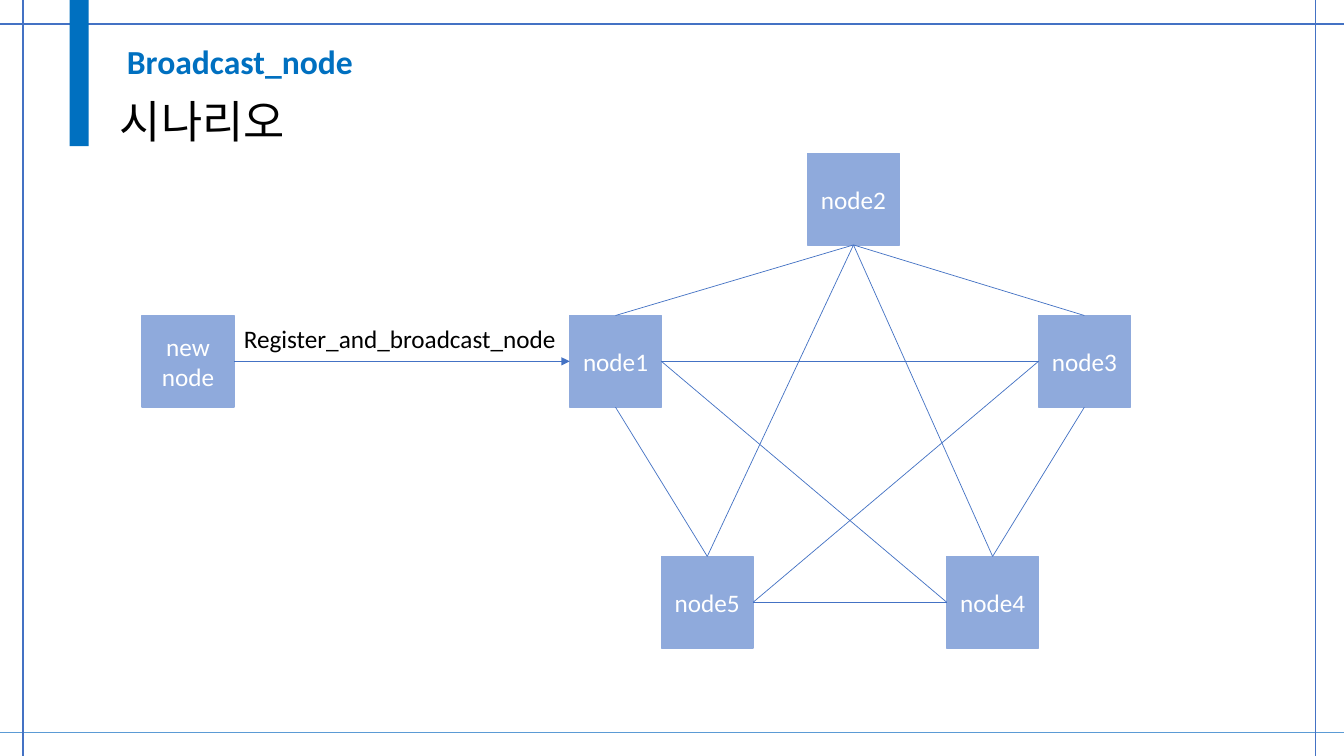
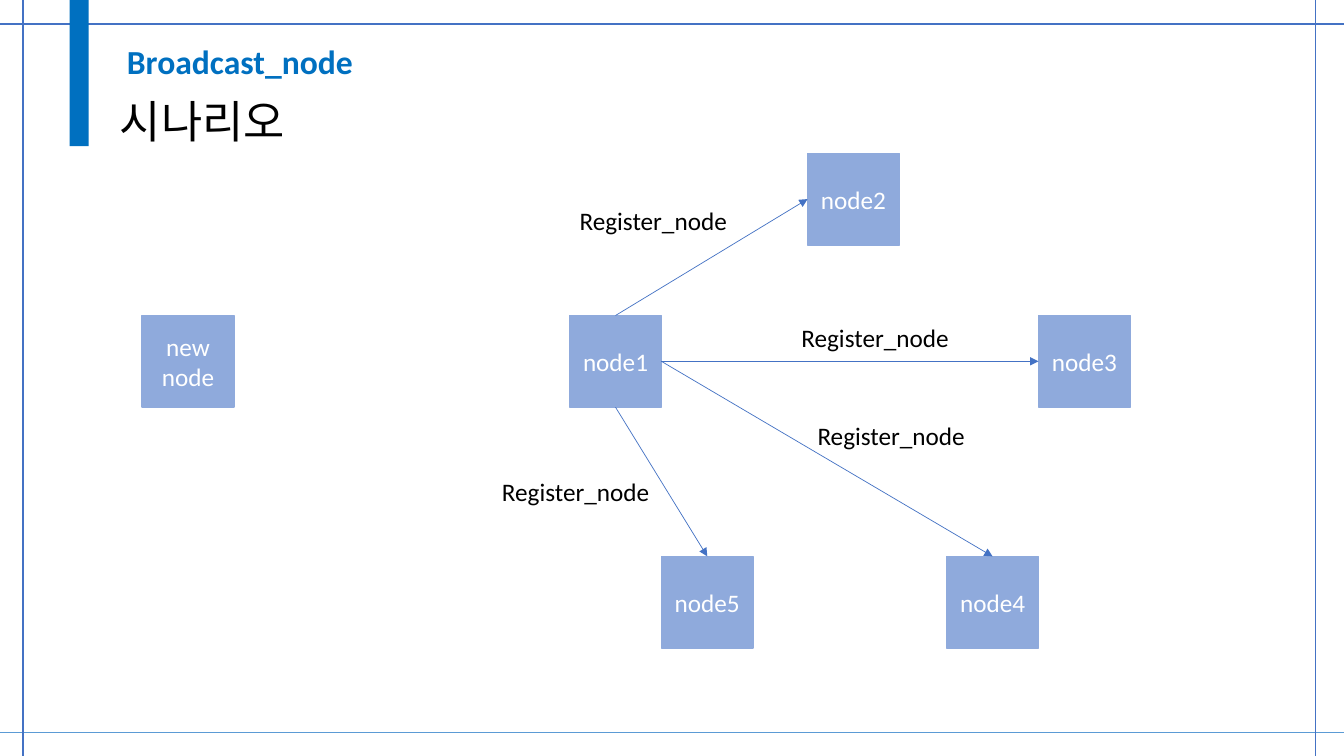
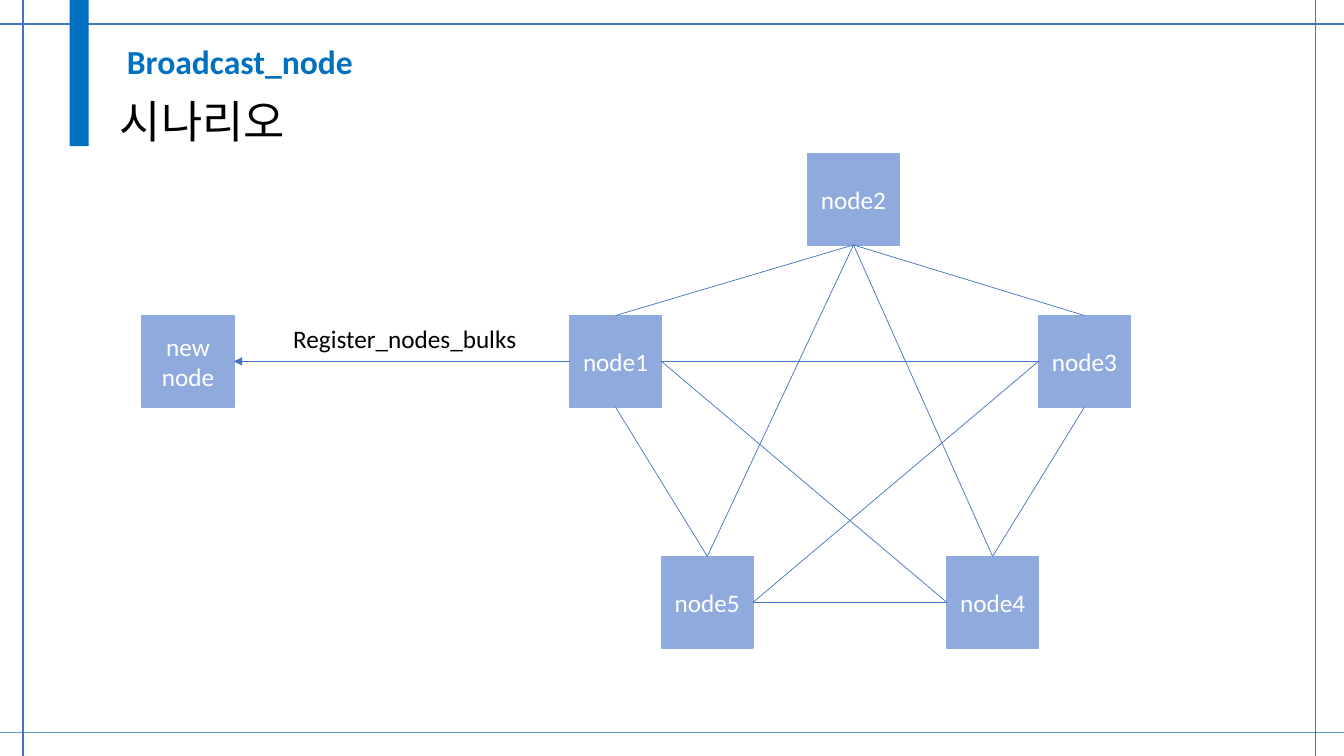
"""Three slides showing how a new node is registered and broadcast through a mesh."""
from lxml import etree
from pptx import Presentation
from pptx import util as u
from pptx.dml.color import RGBColor
from pptx.enum import shapes, text
from pptx.oxml.ns import qn

COLORS = {
    "accent": "0070C0",
    "line": "4472C4",
    "footer": "5B9BD5",
    "node": "8FAADC",
    "dark": "000000",
    "light": "FFFFFF",
}
WIDTH, HEIGHT = 13.33, 7.5
NODE_SIZE = 0.91
TOP, LEFT, BOTTOM, RIGHT = range(4)

NODES = {
    "node5": (6.56, 5.52),
    "node1": (5.65, 3.13),
    "node4": (9.39, 5.52),
    "node3": (10.3, 3.13),
    "node2": (8.01, 1.52),
    "new\nnode": (1.41, 3.13),
}
MESH = [
    ("node1", BOTTOM, "node5", TOP),
    ("node1", TOP, "node2", BOTTOM),
    ("node2", BOTTOM, "node3", TOP),
    ("node3", BOTTOM, "node4", TOP),
    ("node5", RIGHT, "node4", LEFT),
    ("node2", BOTTOM, "node5", TOP),
    ("node2", BOTTOM, "node4", TOP),
    ("node1", RIGHT, "node3", LEFT),
    ("node5", RIGHT, "node3", LEFT),
    ("node1", RIGHT, "node4", LEFT),
]
BROADCAST = [
    ("node1", TOP, "node2", LEFT),
    ("node1", BOTTOM, "node5", TOP),
    ("node1", RIGHT, "node3", LEFT),
    ("node1", RIGHT, "node4", TOP),
]
REQUEST = [("new\nnode", RIGHT, "node1", LEFT)]
REPLY = [("node1", LEFT, "new\nnode", RIGHT)]

SCENARIO = [
    (MESH, REQUEST, [("Register_and_broadcast_node", 2.32, 3.16, 3.33)]),
    ([], BROADCAST, [("Register_node", left, top, 1.68) for left, top in
                     [(5.65, 1.99), (4.88, 4.68), (8.01, 4.12), (7.85, 3.15)]]),
    (MESH, REPLY, [("Register_nodes_bulks", 2.81, 3.16, 2.44)]),
]


class Deck:
    """Holds the shared style and the slide being built."""

    font = "Calibri"

    def __init__(self):
        self.show = Presentation()
        self.show.slide_width = u.Inches(WIDTH)
        self.show.slide_height = u.Inches(HEIGHT)

    def start_slide(self):
        self.slide = self.show.slides.add_slide(self.show.slide_layouts[6])
        self.line((0, 0.24), (WIDTH, 0.24))
        self.line((0, 7.27), (WIDTH, 7.27), "footer")
        for x in (0.23, 13.05):
            self.line((x, 0), (x, HEIGHT))
        self.box(0.69, 0, 0.19, 1.45, "accent")
        self.title("Broadcast_node")
        self.label("시나리오", 1.09, 0.88, 2, 0.64, size=32)
        self.nodes = {name: self.node(name, *spot) for name, spot in NODES.items()}

    def line(self, start, end, color="line", weight=1):
        connector = self.slide.shapes.add_connector(
            shapes.MSO_CONNECTOR.STRAIGHT, *map(u.Inches, (*start, *end)))
        connector.line.color.rgb = RGBColor.from_string(COLORS[color])
        connector.line.width = u.Pt(weight)
        properties = connector.line.fill and connector.element.spPr
        etree.SubElement(properties, qn("a:effectLst"))
        return connector

    def link(self, source, source_side, target, target_side, arrow=False):
        link = self.line((0, 0), (1, 1), weight=0.5)
        link.begin_connect(self.nodes[source], source_side)
        link.end_connect(self.nodes[target], target_side)
        if arrow:
            outline = link.element.spPr.find(qn("a:ln"))
            etree.SubElement(outline, qn("a:tailEnd"), type="triangle")

    def box(self, left, top, width, height, color, outline=False):
        box = self.slide.shapes.add_shape(
            shapes.MSO_SHAPE.RECTANGLE, *map(u.Inches, (left, top, width, height)))
        box.shadow.inherit = False
        box.fill.solid()
        box.fill.fore_color.rgb = RGBColor.from_string(COLORS[color])
        if outline:
            box.line.color.rgb = RGBColor.from_string(COLORS[color])
            box.line.width = u.Pt(1)
        else:
            box.line.fill.background()
        return box

    def node(self, name, left, top):
        node = self.box(left, top, NODE_SIZE, NODE_SIZE, "node", outline=True)
        node.text_frame.vertical_anchor = text.MSO_ANCHOR.MIDDLE
        paragraph = node.text_frame.paragraphs[0]
        paragraph.alignment = text.PP_ALIGN.CENTER
        self.add_words(paragraph, name, 18, "light")
        return node

    def title(self, words):
        frame = self.slide.shapes.add_textbox(
            *map(u.Inches, (1.16, 0.4, 2.81, 0.46))).text_frame
        frame.word_wrap = True
        frame.vertical_anchor = text.MSO_ANCHOR.BOTTOM
        frame.paragraphs[0].line_spacing = 0.9
        self.add_words(frame.paragraphs[0], words, 24, "accent", bold=True)

    def label(self, words, left, top, width, height=0.4, size=18):
        frame = self.slide.shapes.add_textbox(
            *map(u.Inches, (left, top, width, height))).text_frame
        frame.word_wrap = False
        frame.auto_size = text.MSO_AUTO_SIZE.SHAPE_TO_FIT_TEXT
        self.add_words(frame.paragraphs[0], words, size, "dark")

    def add_words(self, paragraph, words, size, color, bold=False):
        for index, part in enumerate(words.split("\n")):
            if index:
                paragraph.add_line_break()
            run = paragraph.add_run()
            run.text = part
            run.font.name = self.font
            run.font.size = u.Pt(size)
            run.font.bold = bold
            run.font.color.rgb = RGBColor.from_string(COLORS[color])


deck = Deck()
for links, messages, labels in SCENARIO:
    deck.start_slide()
    for ends in links:
        deck.link(*ends)
    for ends in messages:
        deck.link(*ends, arrow=True)
    for label in labels:
        deck.label(*label)
deck.show.save("out.pptx")
